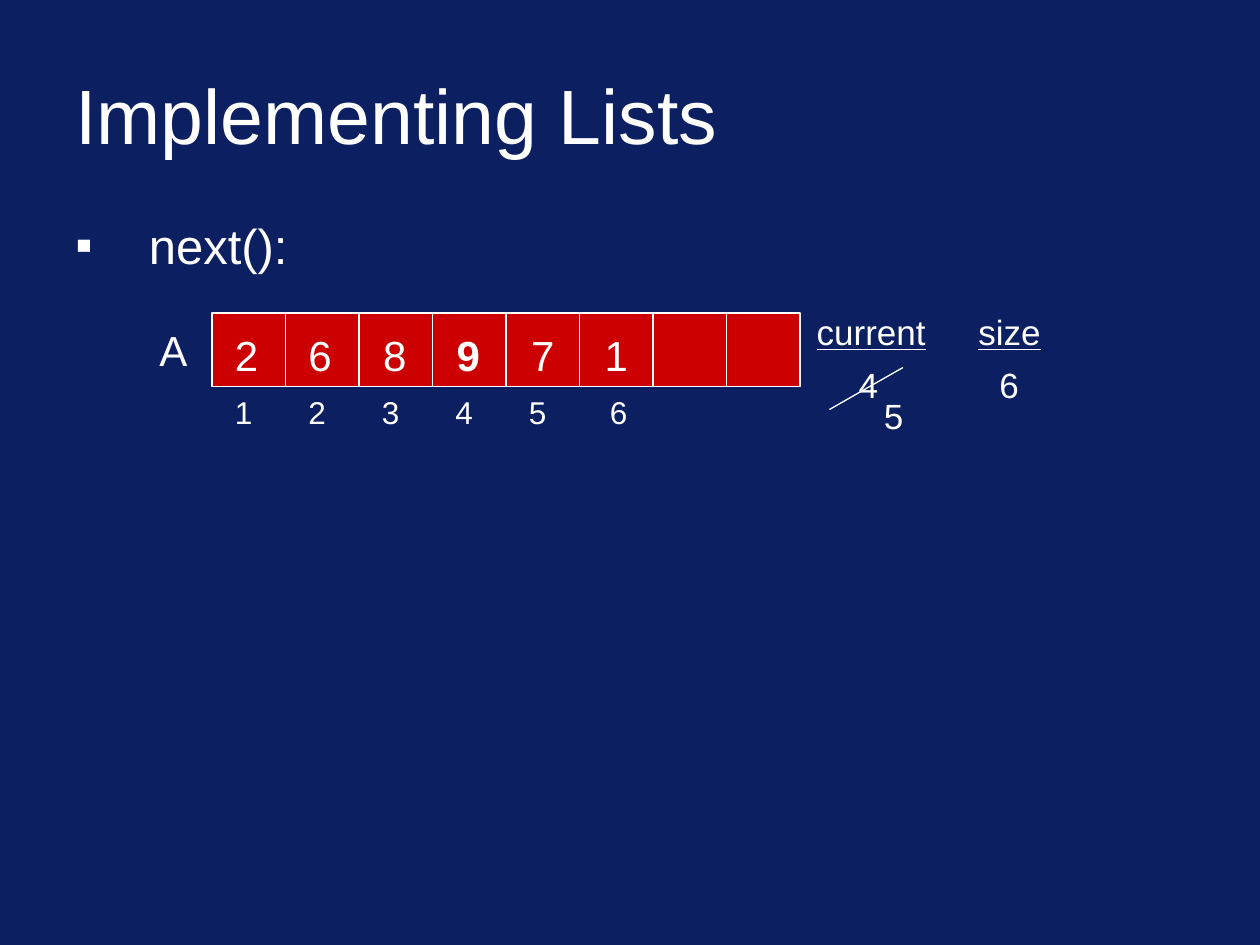
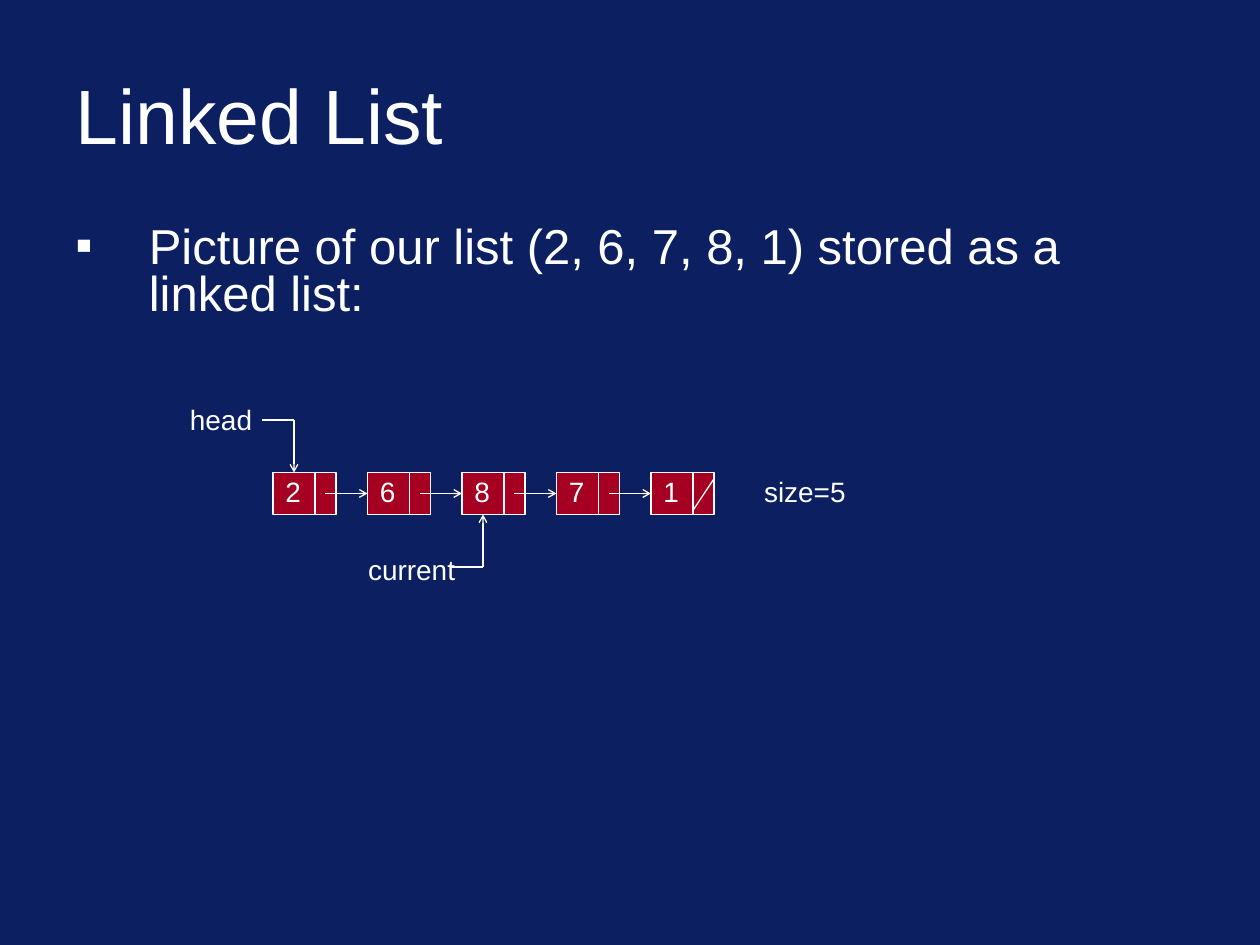
from lxml import etree
from pptx import Presentation
from pptx.dml.color import RGBColor
from pptx.enum.shapes import MSO_CONNECTOR, MSO_SHAPE
from pptx.enum.text import MSO_ANCHOR, MSO_AUTO_SIZE, PP_ALIGN
from pptx.oxml.ns import qn
from pptx.util import Pt

RECTANGLE = MSO_SHAPE.RECTANGLE
STRAIGHT = MSO_CONNECTOR.STRAIGHT
MIDDLE = MSO_ANCHOR.MIDDLE
GROW = MSO_AUTO_SIZE.SHAPE_TO_FIT_TEXT
FIXED = MSO_AUTO_SIZE.NONE
LEFT, CENTER = PP_ALIGN.LEFT, PP_ALIGN.CENTER
TOP_SIDE, LEFT_SIDE, BOTTOM_SIDE = 0, 1, 2

PX = 7620  # 120 px to the inch
FONT = "Arial"
COLORS = {"background": "0B1F61", "ink": "FFFFFF", "array": "CC0000", "node": "A50021"}
INK = RGBColor.from_string(COLORS["ink"])
LINE_WIDTH = Pt(0.75)


def add_text(page, text, area, size, align=LEFT, frame_format=None, **font_format):
    """Place one paragraph; area is left, top, width, height in px."""
    box = page.shapes.add_textbox(*(value * PX for value in area))
    frame_format = {"word_wrap": False, "auto_size": GROW} | (frame_format or {})
    for name, value in frame_format.items():
        setattr(box.text_frame, name, value)
    para = box.text_frame.paragraphs[0]
    para.alignment = align
    span = para.add_run()
    span.text = text
    font_format = {"name": FONT, "size": Pt(size)} | font_format
    for name, value in font_format.items():
        setattr(span.font, name, value)
    span.font.color.rgb = INK
    return para


def add_line(page, start, end, arrow=False):
    line = page.shapes.add_connector(STRAIGHT, *(value * PX for value in start + end))
    line.line.color.rgb = INK
    line.line.width = LINE_WIDTH
    if arrow:
        outline = line.line._get_or_add_ln()
        etree.SubElement(outline, qn("a:tailEnd"), type="arrow", w="sm", len="sm")
    etree.SubElement(line._element.spPr, qn("a:effectLst"))
    return line


deck = Presentation()
deck.slide_width, deck.slide_height = 1200 * PX, 900 * PX

# Background, title and bullet of each slide
pages = []
for title, bullet, bullet_height in [
    ("Implementing Lists", "next():", 80),
    ("Linked List", "Picture of our list (2, 6, 7, 8, 1) stored as a linked list:", 120),
]:
    page = deck.slides.add_slide(deck.slide_layouts[6])
    page.background.fill.solid()
    page.background.fill.fore_color.rgb = RGBColor.from_string(COLORS["background"])
    fixed = {"word_wrap": True, "auto_size": FIXED}
    add_text(page, title, (60, 48, 1080, 120), 44,
             frame_format=fixed | {"vertical_anchor": MIDDLE})
    para = add_text(page, bullet, (60, 210, 1080, bullet_height), 28, frame_format=fixed)
    para.line_spacing = 0.8
    para.space_before = Pt(7)
    properties = para._p.get_or_add_pPr()
    properties.set("marL", str(70 * PX))
    properties.set("indent", str(-70 * PX))
    etree.SubElement(properties, qn("a:buFont"), typeface=FONT)
    etree.SubElement(properties, qn("a:buChar"), char="▪")
    pages.append(page)
array_page, linked_page = pages

# Rectangles: the array, then the list nodes
array_left, array_top, cell = 202, 298, 70
array_bottom = array_top + cell
node_lefts = [260 + 90 * i for i in range(5)]
node_top, node_bottom, node_middle = 450, 490, 470
rectangles = []
for page, area, color in [
    (array_page, (array_left, array_top, 8 * cell, cell), "array"),
    *((linked_page, (left, node_top, 60, 40), "node") for left in node_lefts),
]:
    rectangle = page.shapes.add_shape(RECTANGLE, *(value * PX for value in area))
    rectangle.shadow.inherit = False
    rectangle.fill.solid()
    rectangle.fill.fore_color.rgb = RGBColor.from_string(COLORS[color])
    rectangle.line.color.rgb = INK
    rectangle.line.width = LINE_WIDTH
    rectangles.append(rectangle)
array, *nodes = rectangles

# Array: cell borders, values and indices
for i in range(1, 8):
    x = array_left + i * cell
    border = add_line(array_page, (x, array_top), (x, array_bottom))
    if i == 4:
        border.begin_connect(array, TOP_SIDE)
        border.end_connect(array, BOTTOM_SIDE)
add_text(array_page, "A", (140, 303, 52, 60), 24)
for i, value in enumerate("268971"):
    add_text(array_page, value, (212 + round(70.4 * i), 308, 46, 60), 24, bold=value == "9")
for i, left in enumerate([212, 282, 352, 422, 492, 569], start=1):
    add_text(array_page, str(i), (left, 368, 41, 48), 18)

# Array: current and size, with the old position struck out
for text, left, top, width, underline in [
    ("current", 766, 290, 134, True),
    ("size", 920, 290, 88, True),
    ("4", 806, 340, 44, False),
    ("6", 940, 340, 44, False),
    ("5", 830, 370, 44, False),
]:
    add_text(array_page, text, (left, top, width, 53), 20, underline=underline)
add_line(array_page, (790, 390), (860, 350))

# Linked list: node values and links
for i, (left, value) in enumerate(zip(node_lefts, "26871")):
    divider = left + 40
    add_line(linked_page, (divider, node_top), (divider, node_bottom))
    add_text(linked_page, value, (left, 446, 32, 44), 16, frame_format={"word_wrap": True})
    if i + 1 < len(nodes):
        link = add_line(linked_page, (left + 50, node_middle), (left + 90, node_middle), arrow=True)
        link.end_connect(nodes[i + 1], LEFT_SIDE)
    else:
        add_line(linked_page, (left + 60, 456), (divider, 486))

# Linked list: labels and the pointers bent towards their nodes
for text, left, top, width in [
    ("head", 167, 377, 87),
    ("current", 336, 520, 112),
    ("size=5", 712, 446, 109),
]:
    add_text(linked_page, text, (left, top, width, 44), 16, align=CENTER)
for left, y, node_edge in [(250, 400, node_top), (430, 540, node_bottom)]:
    corner = (left + 30, y)
    add_line(linked_page, (left, y), corner)
    add_line(linked_page, corner, (left + 30, node_edge), arrow=True)

deck.save("out.pptx")
